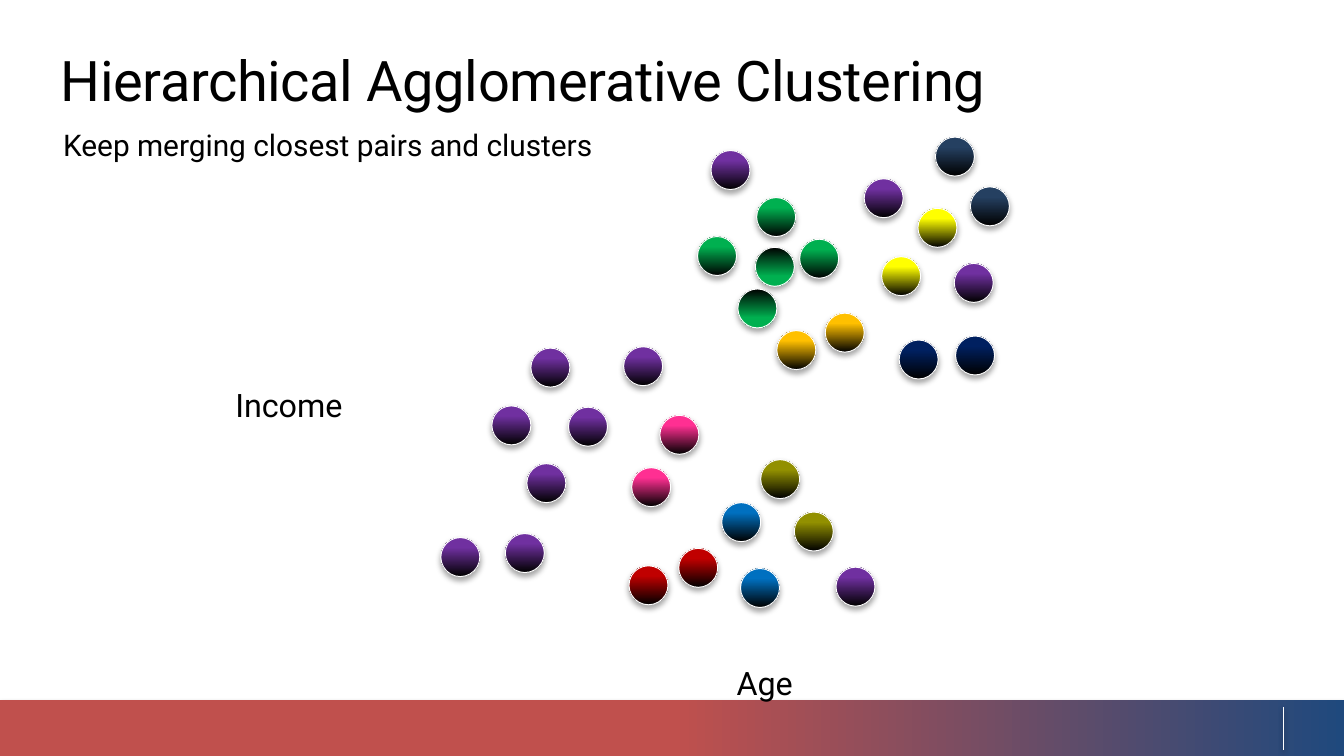
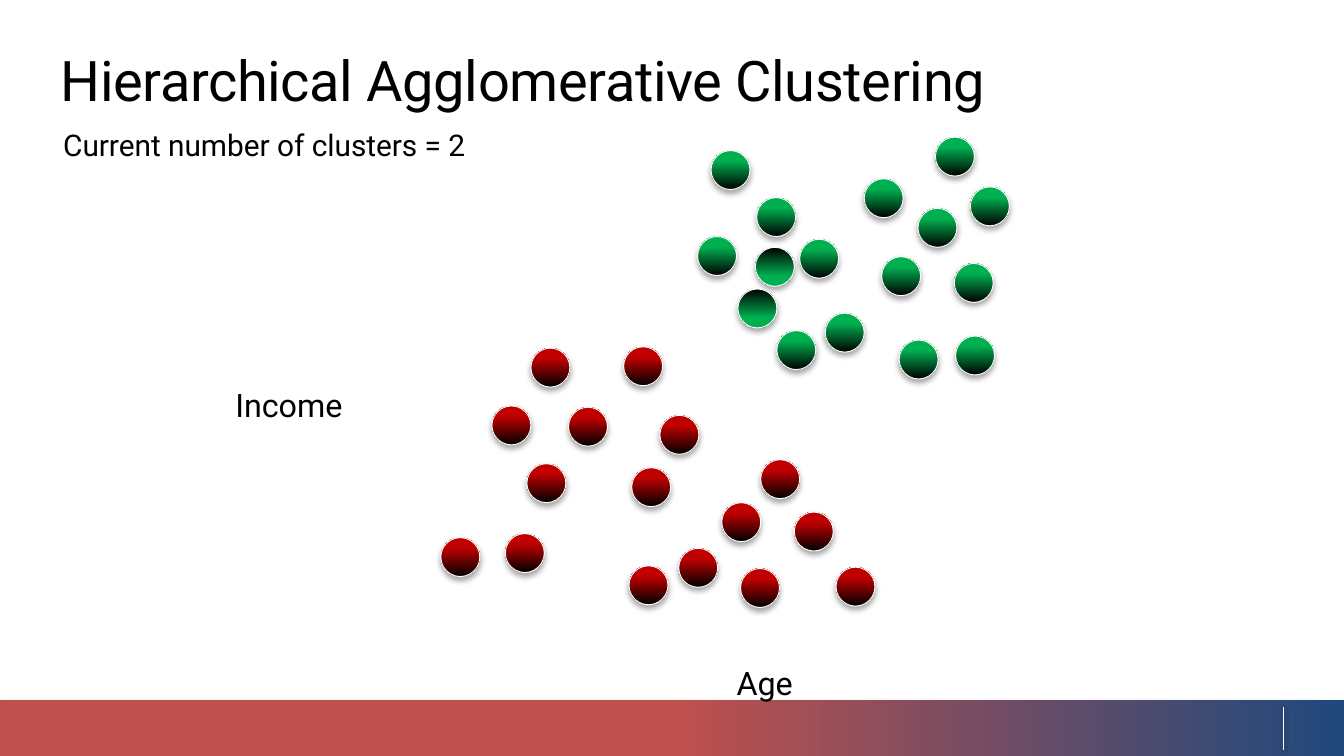
from pptx import Presentation
from pptx.dml.color import RGBColor
from pptx.enum.shapes import MSO_CONNECTOR, MSO_SHAPE
from pptx.enum.text import MSO_ANCHOR, MSO_AUTO_SIZE, PP_ALIGN
from pptx.oxml import parse_xml
from pptx.oxml.ns import nsdecls, qn
from pptx.util import Inches, Pt

STRAIGHT = MSO_CONNECTOR.STRAIGHT
RECTANGLE = MSO_SHAPE.RECTANGLE
OVAL = MSO_SHAPE.OVAL
TOP = MSO_ANCHOR.TOP
NO_AUTOFIT = MSO_AUTO_SIZE.NONE
LEFT = PP_ALIGN.LEFT
CENTER = PP_ALIGN.CENTER

WIDTH = 10
HEIGHT = WIDTH * 9 / 16
FONT = "Roboto"
TITLE = "Hierarchical Agglomerative Clustering"
TITLE_ONLY = 5
DOT_SIZE = 0.29

BLACK = "000000"
WHITE = "FFFFFF"
BAND_BLUE = "1F497D"
BAND_RED = "C0504D"
PURPLE = "7030A0"
GREEN = "00B050"
ORANGE = "FFC000"
NAVY = "002060"
YELLOW = "FFFF00"
SLATE = "254061"
PINK = "FF2F92"
RED = "C00000"
BLUE = "0070C0"
OLIVE = "929000"

UPPER_CLUSTER = {
    PURPLE: [(5.29, 1.12), (7.1, 1.96), (6.43, 1.33)],
    GREEN: [(5.19, 1.76), (5.63, 1.47), (5.62, 1.84), (5.49, 2.15), (5.95, 1.78)],
    ORANGE: [(6.14, 2.33), (5.78, 2.46)],
    NAVY: [(6.69, 2.53), (7.11, 2.5)],
    YELLOW: [(6.56, 1.91), (6.83, 1.55)],
    SLATE: [(7.22, 1.39), (6.96, 1.02)],
}
LOWER_CLUSTER = {
    PURPLE: [(3.28, 4), (3.66, 3.02), (3.95, 2.59), (4.23, 3.03),
             (4.64, 2.58), (3.92, 3.45), (3.76, 3.97), (6.22, 4.22)],
    PINK: [(4.91, 3.09), (4.7, 3.48)],
    RED: [(4.68, 4.21), (5.05, 4.08)],
    BLUE: [(5.37, 3.74), (5.51, 4.23)],
    OLIVE: [(5.66, 3.42), (5.91, 3.81)],
}
LIT_FROM_BELOW = {(5.62, 1.84), (5.49, 2.15)}


def color(value):
    return RGBColor.from_string(value)


def set_shadow(shape, opacity=0, distance=1.8):
    effects = parse_xml(f"<a:effectLst {nsdecls('a')}/>")
    if opacity:
        effects.append(parse_xml(
            f'<a:outerShdw {nsdecls("a")} blurRad="{Pt(3.1)}" dist="{Pt(distance)}" '
            f'dir="5400000" rotWithShape="0"><a:srgbClr val="{BLACK}">'
            f'<a:alpha val="{opacity * 1000}"/></a:srgbClr></a:outerShdw>'))
    shape.element.spPr.append(effects)


def set_gradient(shape, start, end, end_position, angle):
    shape.fill.gradient()
    shape.fill.gradient_angle = angle
    stops = zip(shape.fill.gradient_stops, (start, end), (0, end_position))
    for stop, value, position in stops:
        stop.color.rgb = color(value)
        stop.position = position


def add_line(slide, start, end, width):
    points = [Inches(value) for value in (*start, *end)]
    connector = slide.shapes.add_connector(STRAIGHT, *points)
    connector.line.color.rgb = color(WHITE)
    connector.line.width = Pt(width)
    return connector


def add_axis(slide, start, end):
    axis = add_line(slide, start, end, 2)
    line = axis.element.spPr.find(qn("a:ln"))
    line.append(parse_xml(f'<a:tailEnd {nsdecls("a")} type="triangle"/>'))
    set_shadow(axis)


def add_dot(slide, position, value):
    left, top = position
    dot = slide.shapes.add_shape(
        OVAL, Inches(left), Inches(top), Inches(DOT_SIZE), Inches(DOT_SIZE))
    angle = 270 if position in LIT_FROM_BELOW else 90
    set_gradient(dot, BLACK, value, 0.74, angle)
    dot.line.color.rgb = color(WHITE)
    dot.line.width = Pt(0.5)
    set_shadow(dot, 35)


def add_cluster(slide, cluster, merged_color):
    for value, positions in cluster.items():
        for position in positions:
            add_dot(slide, position, merged_color or value)


def write_text(shape, text, size, alignment=LEFT, line_spacing=None):
    frame = shape.text_frame
    frame.word_wrap = True
    frame.auto_size = NO_AUTOFIT
    frame.vertical_anchor = TOP
    frame.margin_left = frame.margin_top = frame.margin_right = frame.margin_bottom = 0
    paragraph = frame.paragraphs[0]
    paragraph.alignment = alignment
    paragraph.line_spacing = line_spacing
    run = paragraph.add_run()
    run.text = text
    run.font.name = FONT
    run.font.size = Pt(size)
    run.font.color.rgb = color(BLACK)
    return run


def add_label(slide, text, box, size, alignment, line_spacing):
    label = slide.shapes.add_textbox(*[Inches(value) for value in box])
    write_text(label, text, size, alignment, line_spacing)


def set_title(slide):
    title = slide.shapes.title
    title.left, title.top = Inches(0.45), Inches(0.34)
    title.width, title.height = Inches(9.22), Inches(0.5)
    run = write_text(title, TITLE, 30)
    run.font.element.set("spc", "-20") if hasattr(run.font, "element") else \
        run._r.get_or_add_rPr().set("spc", "-20")


def add_master_footer(presentation, slide):
    band = slide.shapes.add_shape(
        RECTANGLE, 0, Inches(5.21), Inches(WIDTH), Inches(HEIGHT - 5.21))
    set_gradient(band, BAND_BLUE, BAND_RED, 0.5, 180)
    band.line.fill.background()
    set_shadow(band, 35)
    divider = add_line(slide, (9.55, 5.26), (9.55, 5.58), 0.75)
    set_shadow(divider, 38, 1.6)
    for shape in (band, divider):
        presentation.slide_master.shapes.element.append(shape.element)


def add_cluster_slide(presentation, caption, upper_color=None, lower_color=None):
    slide = presentation.slides.add_slide(presentation.slide_layouts[TITLE_ONLY])
    set_title(slide)
    add_label(slide, caption, (0.47, 0.81, 5.45, 0.4), 16, LEFT, 1.5)
    add_label(slide, "Age", (3.88, 4.83, 3.62, 0.39), 17.3, CENTER, Pt(28.5))
    add_label(slide, "Income", (1.62, 2.76, 1.06, 0.39), 17.3, CENTER, Pt(28.5))
    add_axis(slide, (3.17, 4.65), (3.17, 1.38))
    add_axis(slide, (3.16, 4.64), (8.21, 4.63))
    add_cluster(slide, UPPER_CLUSTER, upper_color)
    add_cluster(slide, LOWER_CLUSTER, lower_color)
    return slide


def main():
    presentation = Presentation()
    presentation.slide_width = Inches(WIDTH)
    presentation.slide_height = Inches(HEIGHT)
    slide = add_cluster_slide(presentation, "Keep merging closest pairs and clusters")
    add_master_footer(presentation, slide)
    add_cluster_slide(presentation, "Current number of clusters = 2", GREEN, RED)
    presentation.save("out.pptx")


if __name__ == "__main__":
    main()
